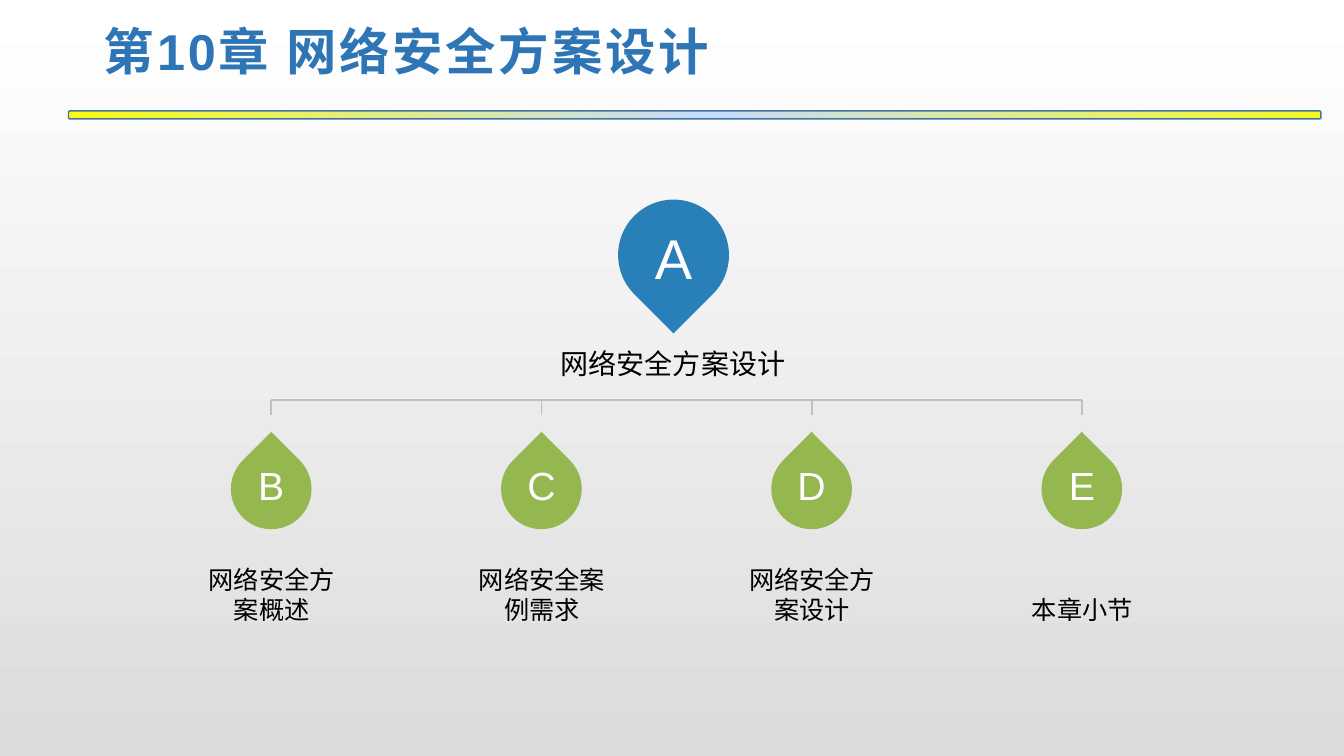
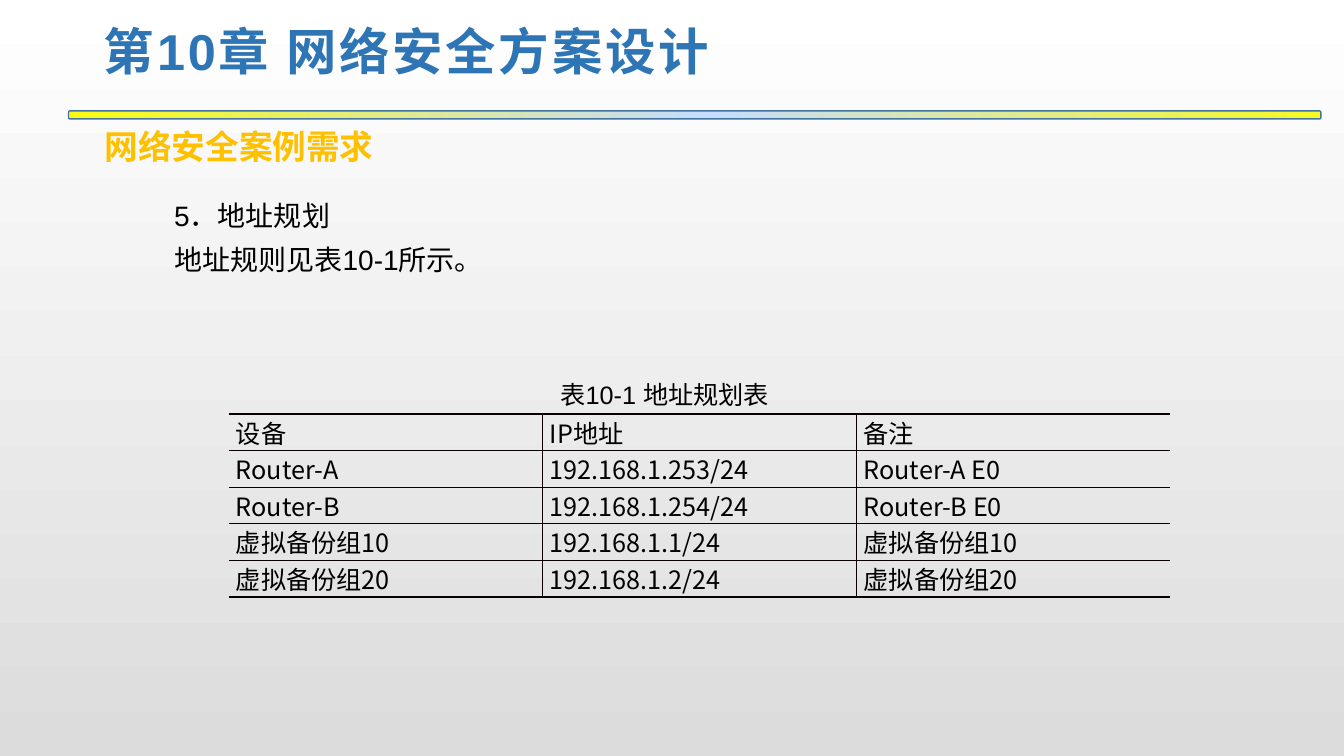
from copy import deepcopy

from lxml import etree
from pptx import Presentation
from pptx import util as u
from pptx.dml.color import RGBColor
from pptx.enum import shapes, text
from pptx.oxml.ns import qn

WIDTH, HEIGHT = 13.33, 7.5
BLUE, GREEN, TITLE, GOLD = "297FB8", "94B74F", "2E75B6", "FFC000"
BLACK, WHITE, BRANCH, RULE = "000000", "FFFFFF", "BFBFBF", "080000"
BACKDROP = [(0, WHITE), (1, "DCDCDC")]
BAR_FILL, BAR_LINE = [(0, "FBFB11"), (0.51, "C6DCFF"), (1, "F7F923")], "43739E"
LATIN, CJK = "Arial", "Noto Sans CJK SC"
CHAPTER = "第10章 网络安全方案设计"
NO_GRID_STYLE = "{2D5ABB26-0587-4C30-8999-92F81FD0307C}"
LEFT, CENTER = text.PP_ALIGN.LEFT, text.PP_ALIGN.CENTER
TOP, MIDDLE, BOTTOM = text.MSO_ANCHOR.TOP, text.MSO_ANCHOR.MIDDLE, text.MSO_ANCHOR.BOTTOM


def rgb(color):
    return RGBColor.from_string(color)


def inches(*lengths):
    return [u.Inches(length) for length in lengths]


def set_gradient(fill, element, stops, angle):
    """Give fill, held by element, a linear gradient of (position, colour) stops."""
    fill.gradient()
    fill.gradient_angle = angle
    stop_list = element.find(".//" + qn("a:gsLst"))
    while len(stop_list) < len(stops):
        stop_list.append(deepcopy(stop_list[-1]))
    for stop, (position, color) in zip(fill.gradient_stops, stops):
        stop.position = position
        stop.color.rgb = rgb(color)


def style(p, size, color, font=LATIN, bold=False, align=LEFT, spacing=None):
    p.alignment = align
    p.font.size = u.Pt(size)
    p.font.bold = bold
    p.font.color.rgb = rgb(color)
    p.font.name = font
    props = p._p.pPr.find(qn("a:defRPr"))
    etree.SubElement(props, qn("a:ea"), typeface=CJK)
    if spacing:
        props.set("spc", str(spacing * 100))


def add_text(slide, box, lines, size, color=BLACK, anchor=TOP, wrap=True,
             line_spacing=None, **look):
    tf = slide.shapes.add_textbox(*inches(*box)).text_frame
    tf.word_wrap = wrap
    tf.vertical_anchor = anchor
    tf.text = lines
    for p in tf.paragraphs:
        if line_spacing:
            p.line_spacing = line_spacing
        style(p, size, color, **look)


def add_line(slide, x1, y1, x2, y2):
    line = slide.shapes.add_connector(shapes.MSO_CONNECTOR.STRAIGHT, *inches(x1, y1, x2, y2))
    line.line.color.rgb = rgb(BRANCH)
    line.line.width = u.Pt(1.25)
    etree.SubElement(line._element.spPr, qn("a:effectLst"))


def add_chapter_slide(prs):
    slide = prs.slides.add_slide(prs.slide_layouts.get_by_name("Title Only"))
    bar = slide.shapes.add_shape(shapes.MSO_SHAPE.ROUNDED_RECTANGLE,
                                 *inches(0.68, 1.1, 12.42, 0.08))
    bar.shadow.inherit = False
    set_gradient(bar.fill, bar._element, BAR_FILL, 0)
    bar.line.color.rgb = rgb(BAR_LINE)
    bar.line.width = u.Pt(1)

    title = slide.shapes.title
    title.left, title.top, title.width, title.height = inches(0.92, 0.06, 11.5, 0.87)
    tf = title.text_frame
    tf.text = CHAPTER
    tf.auto_size = text.MSO_AUTO_SIZE.NONE
    tf.vertical_anchor = MIDDLE
    tf.margin_left, tf.margin_right, tf.margin_top, tf.margin_bottom = inches(
        0.11, 0.08, 0.04, 0.04)
    style(tf.paragraphs[0], 36, TITLE, bold=True, spacing=2)
    return slide


def add_pin(slide, center, top, side, letter, size, color, rotation, text_height):
    left = center - side / 2
    sp = slide.shapes.add_shape(shapes.MSO_SHAPE.TEAR, *inches(left, top, side, side))
    sp.shadow.inherit = False
    sp.rotation = rotation
    sp.fill.solid()
    sp.fill.fore_color.rgb = rgb(color)
    sp.line.fill.background()
    add_text(slide, (left, top, side, text_height), letter, size, WHITE, MIDDLE, align=CENTER)


def add_topic_tree(slide, root, topics, left, top, pitch):
    """Draw the root pin and its branches; left is the first branch's centre."""
    centers = [left + pitch * i for i in range(len(topics))]
    middle = (centers[0] + centers[-1]) / 2 - 0.03
    add_pin(slide, middle, top, 1.1, "A", 40, BLUE, 135, 1.14)
    add_text(slide, (middle - 1.33, top + 1.2, 2.65, 0.64), root, 20,
             anchor=BOTTOM, font=CJK, align=CENTER)

    rail = top + 1.99
    add_line(slide, centers[0], rail, centers[-1], rail)
    for center, letter, topic in zip(centers, "BCDE", topics):
        add_line(slide, center, rail, center, rail + 0.15)
        add_pin(slide, center, top + 2.47, 0.8, letter, 28, GREEN, 315, 0.73)
        add_text(slide, (center - 0.83, top + 3.63, 1.67, 0.64), topic, 18,
                 anchor=BOTTOM, font=CJK, align=CENTER)


def set_border(cell, side, width):
    tc_pr = cell._tc.get_or_add_tcPr()
    ln = etree.SubElement(tc_pr, qn("a:ln" + side), w=str(u.Pt(width)))
    fill = etree.SubElement(ln, qn("a:solidFill"))
    etree.SubElement(fill, qn("a:srgbClr"), val=RULE)


def add_address_table(slide, box, rows):
    n_rows, n_cols = len(rows), len(rows[0])
    table = slide.shapes.add_table(n_rows, n_cols, *inches(*box)).table
    table.first_row = table.horz_banding = False
    table._tbl.tblPr.find(qn("a:tableStyleId")).text = NO_GRID_STYLE
    for r, row in enumerate(rows):
        for c, value in enumerate(row):
            cell = table.cell(r, c)
            cell.text = value
            cell.margin_left = cell.margin_right = u.Inches(0.07)
            cell.margin_top = cell.margin_bottom = 0
            style(cell.text_frame.paragraphs[0], 18, BLACK, font=CJK)
            if c > 0:
                set_border(cell, "L", 1)
            if c < n_cols - 1:
                set_border(cell, "R", 1)
            set_border(cell, "T", 1.5 if r == 0 else 1)
            set_border(cell, "B", 1.5 if r == n_rows - 1 else 1)
            cell.fill.background()


def build_overview(prs):
    slide = add_chapter_slide(prs)
    topics = ["网络安全方案概述", "网络安全案例需求", "网络安全方案设计", "本章小节"]
    add_topic_tree(slide, "网络安全方案设计", topics, 2.69, 1.98, 2.68)


def build_address_plan(prs):
    slide = add_chapter_slide(prs)
    add_text(slide, (0.94, 1.2, 2.87, 0.5), "网络安全案例需求", 24, GOLD,
             wrap=False, bold=True)
    add_text(slide, (1.63, 1.82, 10.53, 0.97), "5．地址规划\n地址规则见表10-1所示。", 20,
             line_spacing=1.3)
    add_text(slide, (5.46, 3.71, 2.41, 0.4), "表10-1 地址规划表", 18)
    add_address_table(slide, (2.27, 4.11, 9.34, 1.81), [
        ("设备", "IP地址", "备注"),
        ("Router-A", "192.168.1.253/24", "Router-A E0"),
        ("Router-B", "192.168.1.254/24", "Router-B E0"),
        ("虚拟备份组10", "192.168.1.1/24", "虚拟备份组10"),
        ("虚拟备份组20", "192.168.1.2/24", "虚拟备份组20"),
    ])


def main():
    prs = Presentation()
    prs.slide_width, prs.slide_height = inches(WIDTH, HEIGHT)
    master = prs.slide_master
    set_gradient(master.background.fill, master._element, BACKDROP, 270)
    build_overview(prs)
    build_address_plan(prs)
    prs.save("out.pptx")


if __name__ == "__main__":
    main()
